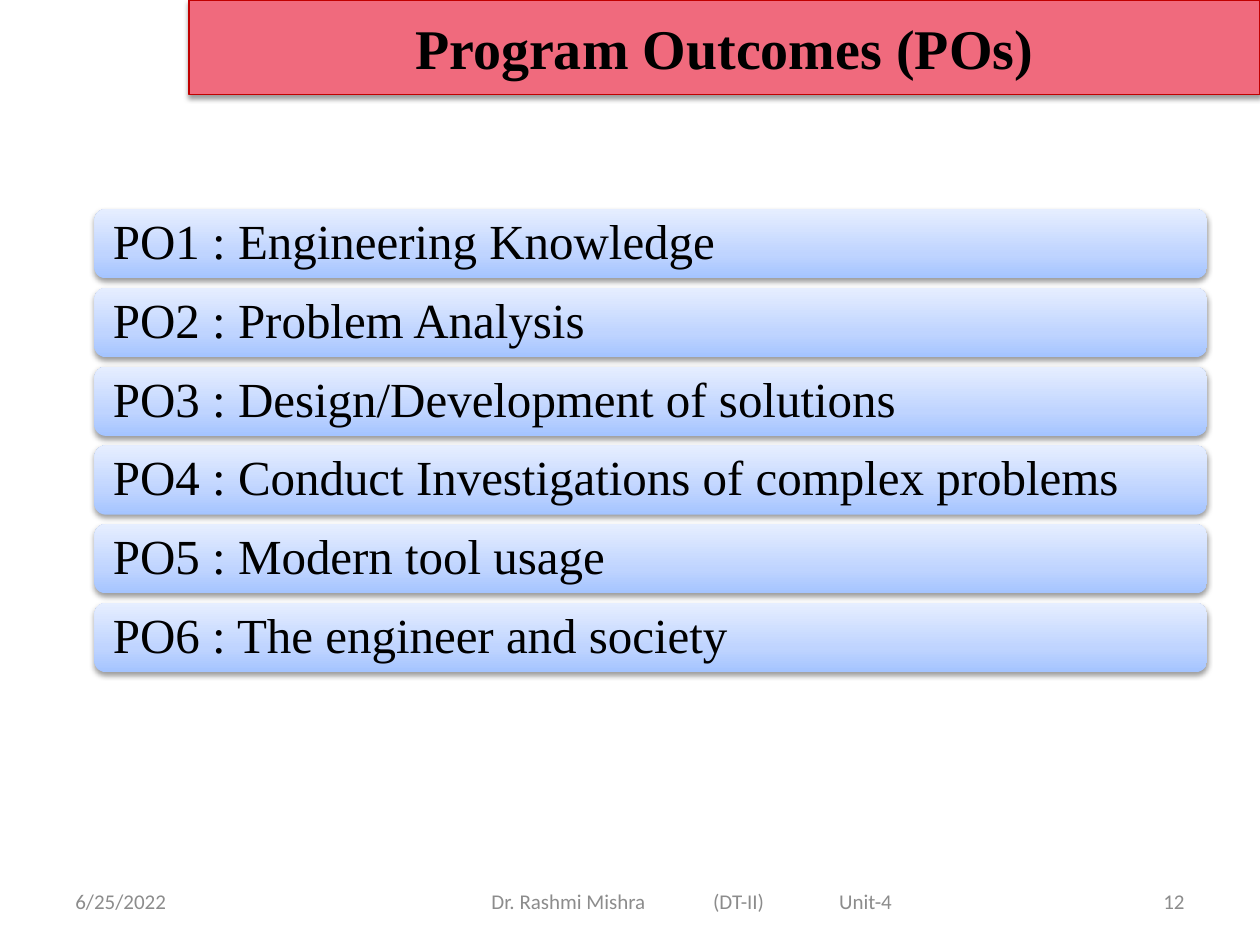
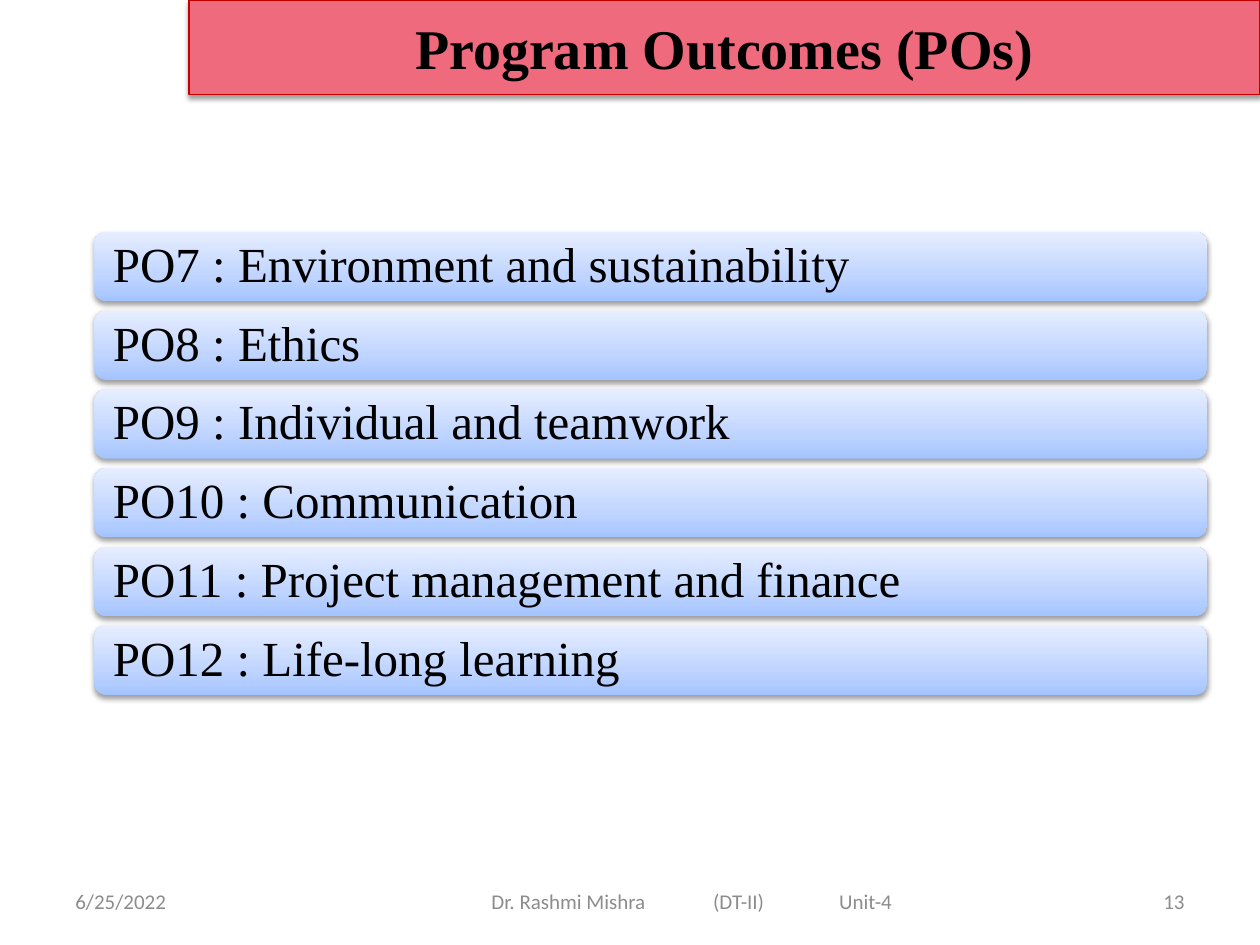
import pptx
import pptx.util
import pptx.dml.color
import pptx.enum.shapes
import pptx.enum.text
import pptx.oxml
import pptx.oxml.ns

Inches, Pt = pptx.util.Inches, pptx.util.Pt
SHAPE = pptx.enum.shapes.MSO_SHAPE
ALIGN = pptx.enum.text.PP_ALIGN

W, H = 10, 7.5
COLORS = {
    "title_fill": "F06A7D", "title_line": "C00000", "text": "000000",
    "footer": "8C8C8C", "row_low": "A4C4FF", "row_mid": "BFD4FF", "row_high": "E6EEFF",
}
SERIF, SANS = "Times New Roman", "Calibri"
ROW_PITCH, ROW_SHARE = 0.625, 0.88  # row step in inches, part of it that is filled

TITLE = "Program Outcomes (POs)"
DATE = "6/25/2022"
FOOTER = "Dr. Rashmi Mishra\t(DT-II)\tUnit-4"
SLIDES = [
    (12, 1.66, ["PO1 : Engineering Knowledge", "PO2 : Problem Analysis",
                "PO3 : Design/Development of solutions",
                "PO4 : Conduct Investigations of complex problems",
                "PO5 : Modern tool usage", "PO6 : The engineer and society"]),
    (13, 1.84, ["PO7 : Environment and sustainability", "PO8 : Ethics",
                "PO9 : Individual and teamwork", "PO10 : Communication",
                "PO11 : Project management and finance", "PO12 : Life-long learning"]),
]


def rgb(name):
    return pptx.dml.color.RGBColor.from_string(COLORS[name])


def xml(tag, attrs="", inner=""):
    ns = pptx.oxml.ns.nsdecls("a")
    return pptx.oxml.parse_xml(f"<a:{tag} {ns} {attrs}>{inner}</a:{tag}>")


def put_text(sp, text, size, font=SERIF, color="text", bold=False,
             align=ALIGN.LEFT, spacing=None, inset=(0.1, 0.05), tabs=()):
    """Write one vertically centred paragraph into a shape or text box."""
    tf = sp.text_frame
    tf.word_wrap = True
    tf.vertical_anchor = pptx.enum.text.MSO_ANCHOR.MIDDLE
    tf.margin_left, tf.margin_right = Inches(inset[0]), Inches(0.1)
    tf.margin_top = tf.margin_bottom = Inches(inset[1])
    p = tf.paragraphs[0]
    p.alignment = align
    if spacing:
        p.line_spacing = spacing
    if tabs:
        stops = "".join(f'<a:tab pos="{Inches(t)}" algn="l"/>' for t in tabs)
        p._p.get_or_add_pPr().append(xml("tabLst", inner=stops))
    r = p.add_run()
    r.text = text
    r.font.size, r.font.name, r.font.bold = Pt(size), font, bold
    r.font.color.rgb = rgb(color)


def add_panel(s, kind, box):
    """Add a shape with the soft shadow that falls straight down."""
    sp = s.shapes.add_shape(kind, *map(Inches, box))
    sp.line.fill.background()
    sp.shadow.inherit = False
    effects = sp._element.spPr.find(pptx.oxml.ns.qn("a:effectLst"))
    effects.append(xml(
        "outerShdw", f'blurRad="{Pt(3.1)}" dist="{Pt(1.6)}" dir="5400000" rotWithShape="0"',
        '<a:srgbClr val="000000"><a:alpha val="38000"/></a:srgbClr>'))
    return sp


def fill_gradient(sp):
    """Shade from the dark blue bottom to the pale top."""
    sp.fill.gradient()
    sp.fill.gradient_angle = 90
    stops = sp._element.spPr.find(".//" + pptx.oxml.ns.qn("a:gsLst"))
    for gs in list(stops):
        stops.remove(gs)
    for pos, name in ((0, "row_low"), (35, "row_mid"), (100, "row_high")):
        stops.append(xml("gs", f'pos="{pos * 1000}"', f'<a:srgbClr val="{COLORS[name]}"/>'))


def title_band(s, box):
    sp = add_panel(s, SHAPE.RECTANGLE, box)
    sp.fill.solid()
    sp.fill.fore_color.rgb = rgb("title_fill")
    sp.line.color.rgb = rgb("title_line")
    sp.line.width = Pt(0.75)
    put_text(sp, TITLE, 32, bold=True, align=ALIGN.CENTER)


def outcome_list(s, outcomes, box):
    x, y, w, h = box
    pitch = h / len(outcomes)
    for i, outcome in enumerate(outcomes):
        sp = add_panel(s, SHAPE.ROUNDED_RECTANGLE, (x, y + i * pitch, w, pitch * ROW_SHARE))
        fill_gradient(sp)
        put_text(sp, outcome, 28, spacing=0.9, inset=(0.12, 0.12))


def footer(s, number, box):
    x, y, w, h = box
    side = w * 0.26
    parts = [  # offset, width, text, format
        (0, side, DATE, {}),
        (w * 0.25, w * 0.61, FOOTER, {"inset": (1.15, 0.05), "tabs": (1.76, 2.76)}),
        (w - side, side, str(number), {"align": ALIGN.RIGHT}),
    ]
    for dx, width, text, style in parts:
        sp = s.shapes.add_textbox(*map(Inches, (x + dx, y, width, h)))
        put_text(sp, text, 12, font=SANS, color="footer", **style)


def main():
    prs = pptx.Presentation()
    prs.slide_width, prs.slide_height = Inches(W), Inches(H)
    for number, top, outcomes in SLIDES:
        s = prs.slides.add_slide(prs.slide_layouts[6])
        outcome_list(s, outcomes, (W * 0.075, top, W * 0.883, ROW_PITCH * len(outcomes)))
        title_band(s, (W * 0.15, 0, W * 0.85, H * 0.1))
        footer(s, number, (W * 0.05, 6.95, W * 0.9, 0.4))
    prs.save("out.pptx")


if __name__ == "__main__":
    main()
